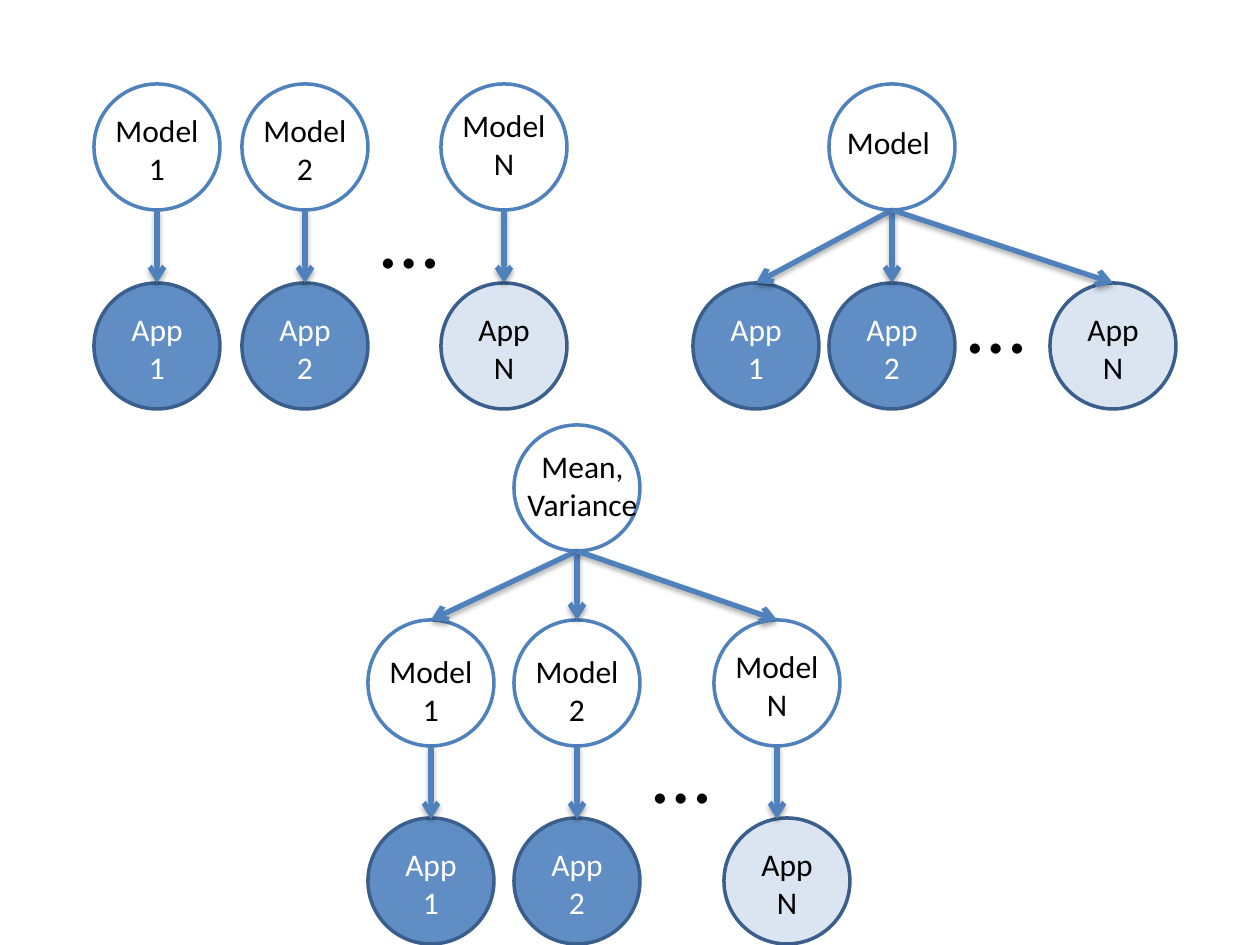
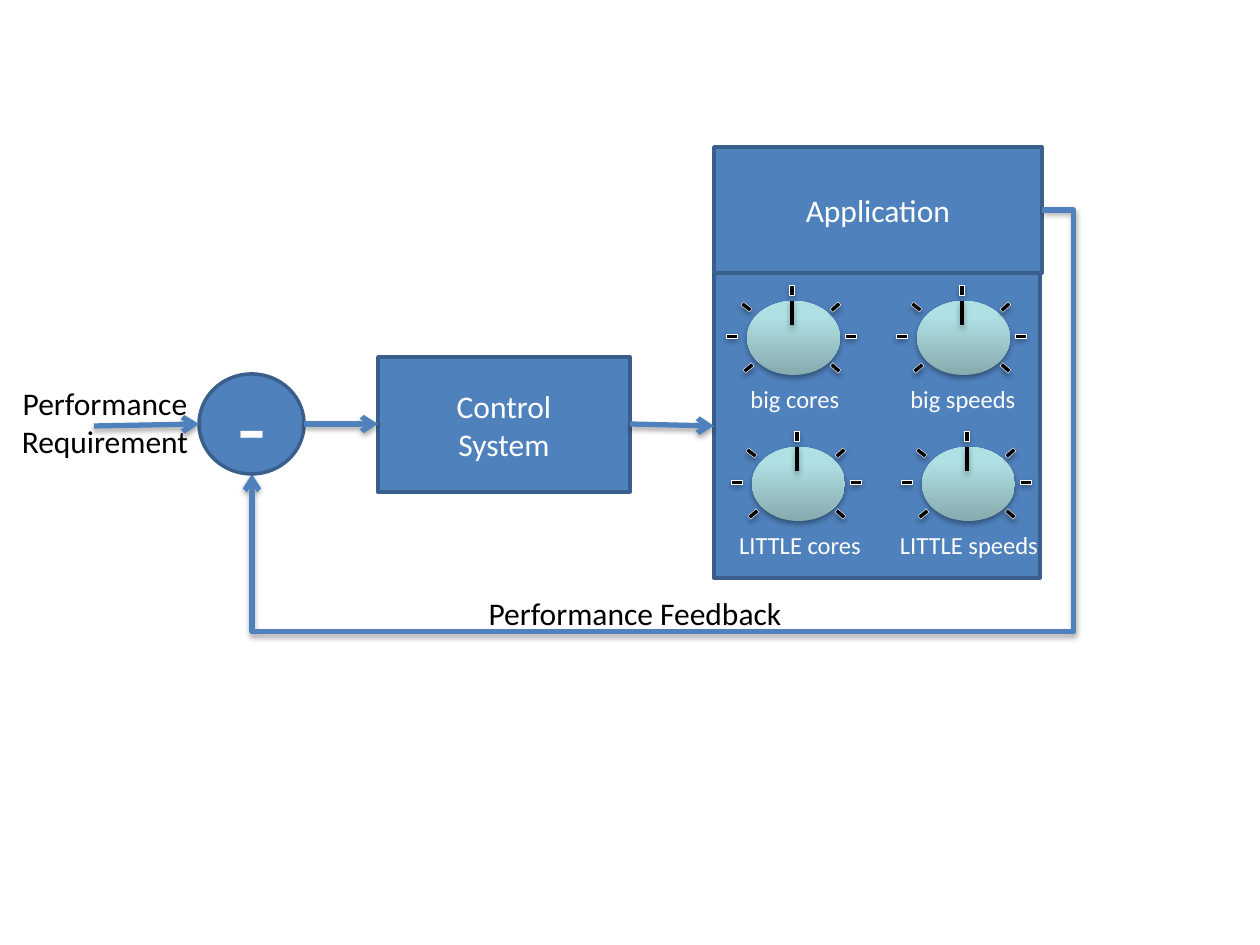
from lxml import etree
from pptx import Presentation
from pptx.dml import color
from pptx.enum import shapes, text
from pptx.oxml import ns
from pptx import util as u

PIXEL = 914400 / 126
FONT = "Calibri"
COLORS = {
    "blue": "4F81BD", "outline": "3A5F8C", "white": "FFFFFF", "black": "000000",
    "dial_dark": "87ABAE", "dial_light": "AFE0E4",
}
SHADOW = (
    '<a:effectLst xmlns:a="http://schemas.openxmlformats.org/drawingml/2006/main">'
    '<a:outerShdw blurRad="40000" dist="23000" dir="5400000" rotWithShape="0">'
    '<a:srgbClr val="000000"><a:alpha val="35000"/></a:srgbClr>'
    '</a:outerShdw></a:effectLst>'
)
SHAPE = shapes.MSO_SHAPE


def add_item(slide, kind, box, words="", size=18, ink="white", fill="blue",
             line="outline", width=2, opacity=100, align=text.PP_ALIGN.CENTER):
    """Add a preset shape, or a text box when kind is None; box is in pixels."""
    box = [u.Emu(round(value * PIXEL)) for value in box]
    if kind is None:
        shape = slide.shapes.add_textbox(*box)
        shape.text_frame.auto_size = text.MSO_AUTO_SIZE.SHAPE_TO_FIT_TEXT
    else:
        shape = slide.shapes.add_shape(kind, *box)
        shape.shadow.inherit = False
        shape.fill.solid()
        shape.fill.fore_color.rgb = color.RGBColor.from_string(COLORS[fill])
        if opacity < 100:
            tint = shape._element.spPr.find(ns.qn("a:solidFill"))[0]
            etree.SubElement(tint, ns.qn("a:alpha"), val=str(opacity * 1000))
        shape.line.color.rgb = color.RGBColor.from_string(COLORS[line])
        shape.line.width = u.Pt(width)
    if words:
        shape.text_frame.word_wrap = True
        shape.text_frame.text = words
        for paragraph in shape.text_frame.paragraphs:
            paragraph.alignment = align
            for run in paragraph.runs:
                run.font.name = FONT
                run.font.size = u.Pt(size)
                run.font.color.rgb = color.RGBColor.from_string(COLORS[ink])
    return shape


def add_line(slide, start, end, kind=shapes.MSO_CONNECTOR.STRAIGHT,
             ink="blue", width=3, arrow=True):
    """Add a shadowed connector between two pixel points."""
    ends = [u.Emu(round(value * PIXEL)) for value in (*start, *end)]
    connector = slide.shapes.add_connector(kind, *ends)
    connector.line.color.rgb = color.RGBColor.from_string(COLORS[ink])
    connector.line.width = u.Pt(width)
    properties = connector._element.spPr
    if arrow:
        etree.SubElement(properties.find(ns.qn("a:ln")), ns.qn("a:tailEnd"), type="arrow")
    properties.append(etree.fromstring(SHADOW))
    return connector


presentation = Presentation()
presentation.slide_width = u.Inches(10)
presentation.slide_height = u.Inches(7.5)
blank = presentation.slide_layouts[6]

# Slide 1: three ways of linking models to applications
slide = presentation.slides.add_slide(blank)
CIRCLE = 126
RADIUS = CIRCLE // 2
LABEL_HEIGHT = 89
NAMES = ["1", "2", "N"]

# Single root circles: left, top, words, label left, label top, label width
roots = [(829, 84, "Model ", 829, 117, 126), (514, 425, "Mean,\nVariance", 483, 441, 199)]
for left, top, words, label_left, label_top, label_width in roots:
    add_item(slide, SHAPE.OVAL, (left, top, CIRCLE, CIRCLE), fill="white", line="blue")
    add_item(slide, None, (label_left, label_top, label_width, 50), words, ink="black")

# Model rows: lefts, top, label offset
model_rows = [([94, 242, 441], 84, 21), ([368, 514, 714], 620, 26)]
for lefts, top, offset in model_rows:
    for left, name in zip(lefts, NAMES):
        label_top = top + offset - (5 if name == "N" else 0)
        add_item(slide, SHAPE.OVAL, (left, top, CIRCLE, CIRCLE), fill="white", line="blue")
        add_item(slide, None, (left, label_top, CIRCLE, LABEL_HEIGHT), f"Model {name}",
                 ink="black")

# Application rows: lefts, top
app_rows = [([94, 242, 441], 283), ([693, 829, 1050], 283), ([368, 514, 724], 818)]
for lefts, top in app_rows:
    for left, name in zip(lefts, NAMES):
        last = name == "N"
        add_item(slide, SHAPE.OVAL, (left, top, CIRCLE, CIRCLE), opacity=20 if last else 90)
        add_item(slide, None, (left, top + 21, CIRCLE, LABEL_HEIGHT), f"App\n{name}",
                 ink="black" if last else "white")

# Arrows straight down from each model
for (lefts, top, _), bottom in zip(model_rows, (283, 819)):
    for left in lefts:
        add_line(slide, (left + RADIUS, top + CIRCLE), (left + RADIUS, bottom))

# Arrows fanning out from each root
for root, (lefts, bottom) in zip(roots, (app_rows[1], model_rows[1][:2])):
    for left in lefts:
        add_line(slide, (root[0] + RADIUS, root[1] + CIRCLE), (left + RADIUS, bottom))

# Ellipses between the second and last columns
for left, top in [(368, 178), (955, 263), (640, 713)]:
    add_item(slide, None, (left, top, 147, 115), "…", size=48, ink="black",
             align=text.PP_ALIGN.LEFT)

# Slide 2: feedback control loop
slide = presentation.slides.add_slide(blank)
add_item(slide, SHAPE.RECTANGLE, (378, 357, 252, 135), "Control\nSystem")
add_item(slide, SHAPE.RECTANGLE, (714, 273, 326, 305))

# Dials: left, top, caption, caption left, caption width
dials = [
    (747, 301, "big cores", 714, 162), (917, 301, "big speeds", 882, 162),
    (752, 447, "LITTLE cores", 719, 162), (922, 447, "LITTLE speeds", 882, 174),
]
# Tick marks around a dial: offset x, offset y, width, height, rotation
ticks = [
    (38, -21, 13, 20, 270), (96, 26, 15, 18, 0), (-23, 26, 15, 18, 0),
    (-8, -3, 15, 18, 37.7), (81, -3, 15, 18, 317.8),
    (-6, 58, 15, 18, 319.8), (81, 58, 15, 18, 42),
]
for left, top, caption, caption_left, caption_width in dials:
    dial = add_item(slide, SHAPE.OVAL, (left, top, 93, 74))
    dial.line.fill.background()
    dial.fill.gradient()
    dial.fill.gradient_angle = 90
    for stop, position, name in zip(dial.fill.gradient_stops, (0, 0.8),
                                    ("dial_dark", "dial_light")):
        stop.position = position
        stop.color.rgb = color.RGBColor.from_string(COLORS[name])
    dial_properties = dial._element.spPr
    dial_properties.replace(dial_properties.find(ns.qn("a:effectLst")),
                            etree.fromstring(SHADOW))
    add_line(slide, (left + 45, top), (left + 45, top + 24), ink="black", width=2, arrow=False)
    for x, y, width, height, rotation in ticks:
        tick = add_item(slide, SHAPE.MATH_MINUS, (left + x, top + y, width, height),
                        fill="black", line="white", width=0.25)
        tick.rotation = rotation
        tick_properties = tick._element.spPr
        tick_properties.replace(tick_properties.find(ns.qn("a:effectLst")),
                                etree.fromstring(SHADOW))
    add_item(slide, None, (caption_left, top + 77, caption_width, 43), caption, size=14)

add_item(slide, SHAPE.RECTANGLE, (714, 147, 328, 126), "Application")

# Feedback path, running right of the application and back below it
feedback = add_line(slide, (1042, 210), (252, 474), shapes.MSO_CONNECTOR.ELBOW)
geometry = feedback._element.spPr.find(ns.qn("a:prstGeom"))
geometry.set("prst", "bentConnector4")
guides = geometry.find(ns.qn("a:avLst"))
for name, value in [("adj1", -4000), ("adj2", 159700)]:
    etree.SubElement(guides, ns.qn("a:gd"), name=name, fmla=f"val {value}")

# Comparator, forward arrows and captions
add_item(slide, SHAPE.OVAL, (199, 374, 105, 100), "-", size=54)
for start, end in [((94, 426), (199, 424)), ((304, 424), (378, 424)), ((630, 424), (714, 426))]:
    add_line(slide, start, end)
add_item(slide, None, (399, 588, 472, 50), "Performance Feedback", ink="black")
add_item(slide, None, (-21, 378, 252, 89), "Performance\nRequirement", ink="black")

presentation.save("out.pptx")
